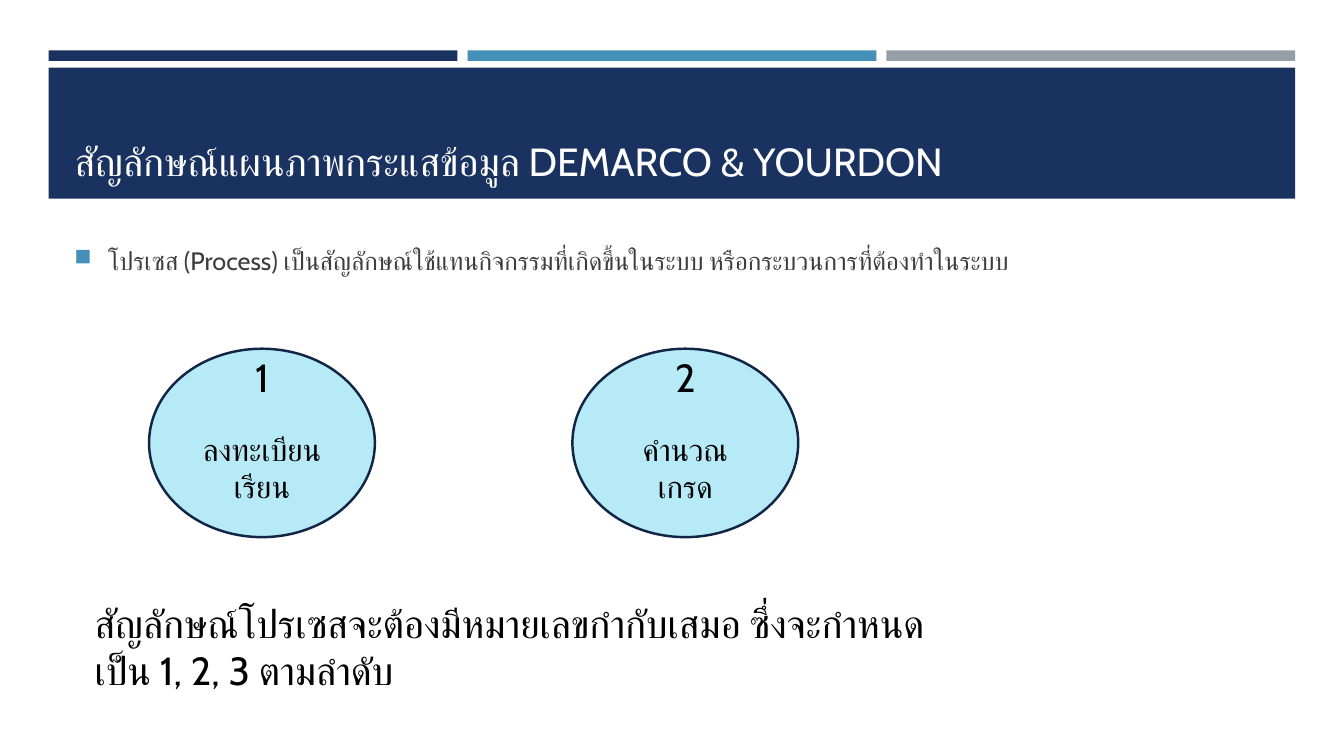
import lxml.etree
import pptx
import pptx.dml.color
import pptx.enum.shapes
import pptx.enum.text
import pptx.oxml.ns
import pptx.util

Pt = pptx.util.Pt
Kind = pptx.enum.shapes.MSO_SHAPE
Align = pptx.enum.text.PP_ALIGN
Anchor = pptx.enum.text.MSO_ANCHOR
Fit = pptx.enum.text.MSO_AUTO_SIZE
qn = pptx.oxml.ns.qn
NAVY, BLUE, GREY = "1A3260", "4590B8", "969FA7"
FONT = "Cabin"


def color(code):
    return pptx.dml.color.RGBColor.from_string(code)


def apply(item, values):
    for name, value in values.items():
        setattr(item, name, value)


def write(frame, text, size, code, align=Align.LEFT, **values):
    apply(frame, {"auto_size": Fit.NONE, "word_wrap": True, **values})
    para = frame.paragraphs[0]
    para.alignment = align
    run = para.add_run()
    run.text = text
    apply(run.font, {"size": Pt(size), "name": FONT, "bold": False})
    run.font.color.rgb = color(code)
    lxml.etree.SubElement(run.font._element, qn("a:cs"), typeface=FONT)
    return para


def draw(shapes, kind, box, fill, line=None):
    shape = shapes.add_shape(kind, *map(Pt, box))
    shape.shadow.inherit = False
    shape.fill.solid()
    shape.fill.fore_color.rgb = color(fill)
    if line:
        shape.line.color.rgb = color(line)
        shape.line.width = Pt(1.75)
    else:
        shape.line.fill.background()
    return shape


def header(slide, box, text):
    left, top, width, height = box
    gap = 7.2
    bar = (width - 2 * gap) / 3
    for i, fill in enumerate((NAVY, BLUE, GREY)):
        draw(slide.shapes, Kind.RECTANGLE,
             (left + i * (bar + gap), top, bar, 7.5), fill)
    draw(slide.shapes, Kind.RECTANGLE,
         (left, top + 12.4, width, height - 12.4), NAVY)
    title = slide.shapes.title
    slide.shapes._spTree.append(title._element)
    apply(title, {"left": Pt(left + 11.3), "top": Pt(top + 19.4),
                  "width": Pt(width - 22.6), "height": Pt(80)})
    write(title.text_frame, text, 28, "FFFFFF", vertical_anchor=Anchor.BOTTOM)


def bullet(slide, box, text):
    area = slide.shapes.add_textbox(*map(Pt, box))
    para = write(area.text_frame, text, 18, "3D3D3D")
    para.space_after = Pt(6)
    props = para._p.get_or_add_pPr()
    props.set("marL", str(Pt(24)))
    props.set("indent", str(-Pt(24)))
    tint = lxml.etree.SubElement(props, qn("a:buClr"))
    lxml.etree.SubElement(tint, qn("a:srgbClr"), val=BLUE)
    lxml.etree.SubElement(props, qn("a:buSzPct"), val="92000")
    lxml.etree.SubElement(props, qn("a:buChar"), char="■")


def process(slide, box, number, text):
    left, top, width, height = box
    group = slide.shapes.add_group_shape()
    oval = draw(group.shapes, Kind.OVAL, box, "B5EAF6", "132547")
    write(oval.text_frame, text, 22, "000000", Align.CENTER,
          vertical_anchor=Anchor.MIDDLE, margin_top=Pt(37),
          margin_bottom=Pt(2))
    label = group.shapes.add_textbox(
        Pt(left + width / 2 - 12.6), Pt(top), Pt(25.2), Pt(41))
    write(label.text_frame, number, 28, "000000", Align.CENTER,
          word_wrap=False)


def note(slide, box, text):
    area = slide.shapes.add_textbox(*map(Pt, box))
    write(area.text_frame, text, 28, "000000")


def main():
    deck = pptx.Presentation()
    apply(deck, {"slide_width": Pt(960), "slide_height": Pt(540)})
    slide = deck.slides.add_slide(deck.slide_layouts[5])
    header(slide, (34.8, 36, 890.4, 106),
           "สัญลักษณ์แผนภาพกระแสข้อมูล DEMARCO & YOURDON")
    bullet(slide, (46.1, 171.4, 868, 40),
           "โปรเซส (Process) เป็นสัญลักษณ์ใช้แทนกิจกรรมที่เกิดขึ้นในระบบ "
           "หรือกระบวนการที่ต้องทำในระบบ")
    for i, text in enumerate(("ลงทะเบียนเรียน", "คำนวณเกรด")):
        process(slide, (106.5 + i * 302.4, 249.1, 161.3, 134.6),
                str(i + 1), text)
    note(slide, (60.5, 424.8, 642, 75),
         "สัญลักษณ์โปรเซสจะต้องมีหมายเลขกำกับเสมอ "
         "ซึ่งจะกำหนดเป็น 1, 2, 3 ตามลำดับ")
    deck.save("out.pptx")


if __name__ == "__main__":
    main()
